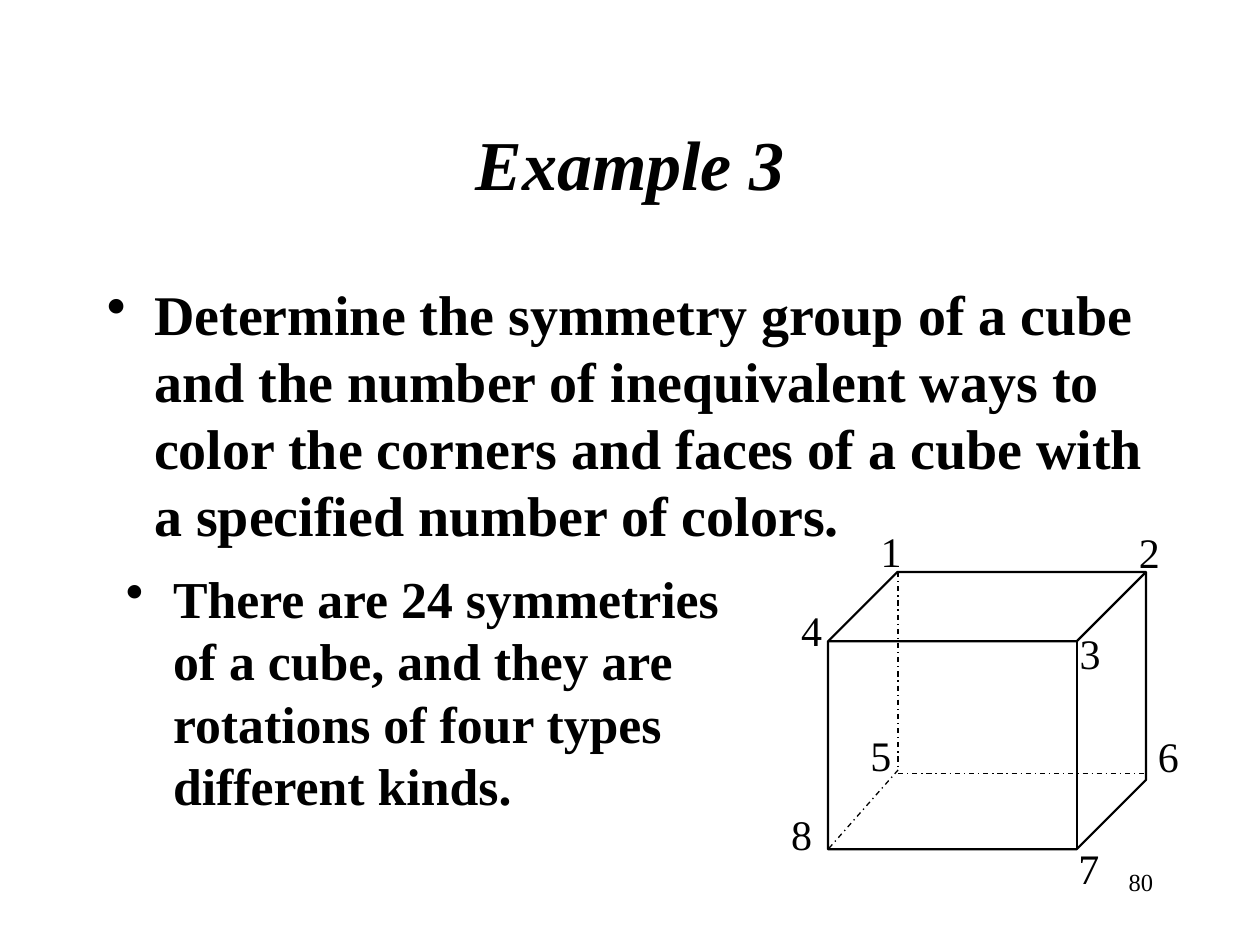
from lxml import etree
from pptx import Presentation
from pptx.dml.color import RGBColor
from pptx.enum.dml import MSO_LINE
from pptx.enum.shapes import MSO_CONNECTOR, MSO_SHAPE
from pptx.enum.text import MSO_ANCHOR, PP_ALIGN
from pptx.oxml.ns import qn
from pptx.util import Pt

TITLE_ONLY = 5
STRAIGHT = MSO_CONNECTOR.STRAIGHT
CUBE = MSO_SHAPE.CUBE
DASH_DOT = MSO_LINE.DASH_DOT
TOP, MIDDLE = MSO_ANCHOR.TOP, MSO_ANCHOR.MIDDLE
LEFT, CENTER, RIGHT = PP_ALIGN.LEFT, PP_ALIGN.CENTER, PP_ALIGN.RIGHT
BLACK = "000000"
INDENT = 27


def color(hex_value):
    return RGBColor.from_string(hex_value)


def write(box, bounds, text, font, align=LEFT, anchor=TOP, bullet=False):
    """Place a text shape and fill it with one formatted paragraph."""
    for name, value in zip(("left", "top", "width", "height"), bounds):
        setattr(box, name, Pt(value))
    frame = box.text_frame
    frame.word_wrap = True
    frame.vertical_anchor = anchor
    para = frame.paragraphs[0]
    para.alignment = align
    if bullet:
        properties = para._p.get_or_add_pPr()
        properties.set("marL", str(Pt(INDENT)))
        properties.set("indent", str(-Pt(INDENT)))
        etree.SubElement(properties, qn("a:buChar")).set("char", "•")
    span = para.add_run()
    span.text = text
    for name, value in font.items():
        setattr(span.font, name, value)
    span.font.name = "Times New Roman"
    span.font.color.rgb = color(BLACK)


deck = Presentation()
deck.slide_width, deck.slide_height = Pt(720), Pt(540)
page = deck.slides.add_slide(deck.slide_layouts[TITLE_ONLY])
shapes = page.shapes

write(shapes.title, (54, 48, 612, 90), "Example 3",
      {"size": Pt(40), "bold": True, "italic": True}, CENTER, MIDDLE)

bullets = [
    ((54, 156, 612, 324), 32,
     "Determine the symmetry group of a cube and the number of inequivalent ways to "
     "color the corners and faces of a cube with a specified number of colors."),
    ((64.8, 320.4, 374.4, 193.7), 29.6,
     "There are 24 symmetries of a cube, and they are rotations of four types "
     "different kinds."),
]
for bounds, size, text in bullets:
    write(shapes.add_textbox(0, 0, 0, 0), bounds, text,
          {"size": Pt(size), "bold": True}, bullet=True)

cube = shapes.add_shape(CUBE, Pt(473.2), Pt(326.9), Pt(181.7), Pt(158.4))
cube.adjustments[0] = 0.25
cube.shadow.inherit = False
cube.fill.background()
cube.line.color.rgb = color(BLACK)
cube.line.width = Pt(1.25)

hidden_edges = [
    (513.2, 326.9, 513.2, 440),
    (513.2, 442.2, 654.9, 442.2),
    (513.2, 440, 473.2, 485.3),
]
for ends in hidden_edges:
    edge = shapes.add_connector(STRAIGHT, *map(Pt, ends))
    edge.line.color.rgb = color(BLACK)
    edge.line.width = Pt(0.75)
    edge.line.dash_style = DASH_DOT
    etree.SubElement(edge._element.spPr, qn("a:effectLst"))

corners = [
    (496.1, 296.6), (643.7, 297.4), (609.8, 355), (450.7, 342),
    (490.3, 413.3), (654.5, 414), (609.1, 478.1), (445, 458.6),
]
for number, (left, top) in enumerate(corners, start=1):
    write(shapes.add_textbox(0, 0, 0, 0), (left, top, 39.6, 36), str(number),
          {"size": Pt(24)})

write(shapes.add_textbox(0, 0, 0, 0), (516.2, 491.8, 149.8, 36), "80",
      {"size": Pt(14)}, RIGHT)

deck.save("out.pptx")
